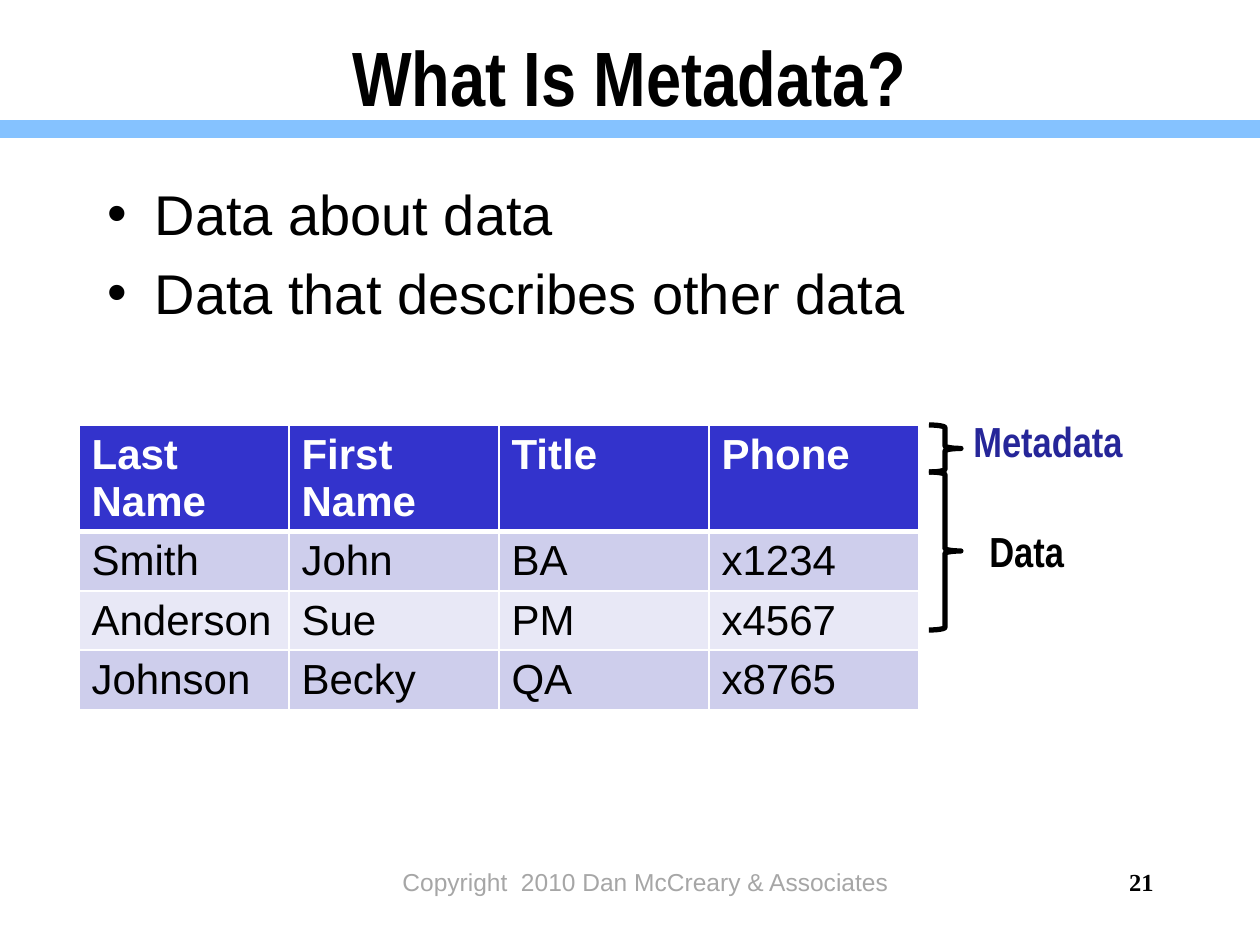
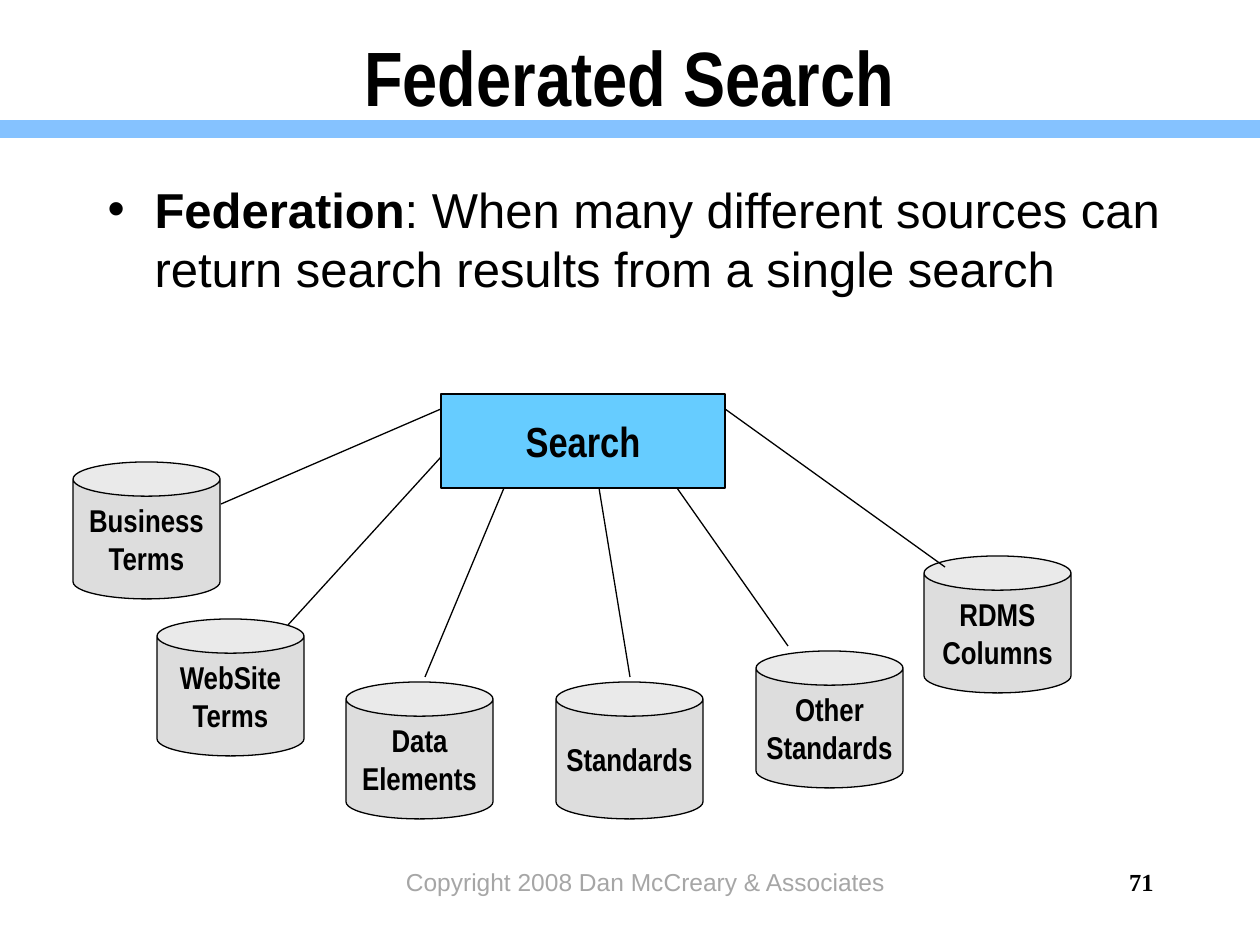
from lxml import etree
from pptx import Presentation
from pptx.dml.color import RGBColor
from pptx.enum.shapes import MSO_CONNECTOR, MSO_SHAPE as SHAPE
from pptx.enum.text import MSO_ANCHOR as ANCHOR, MSO_AUTO_SIZE, PP_ALIGN as ALIGN
from pptx.oxml.ns import qn
from pptx.util import Emu, Pt

PX = 914400 / 126
BLACK, WHITE, BAND, GRAY = "000000", "FFFFFF", "85C2FF", "A6A6A6"
HEADER, STRIPES = "3333CC", ("CECEEC", "E8E8F6")
NARROW, SANS, SERIF = "Arial Narrow", "Arial", "Times New Roman"
rgb = RGBColor.from_string


def write(tf, paragraphs, size, font=NARROW, color=BLACK, align=ALIGN.CENTER):
    """Fill a text frame; each paragraph is a list of (text, bold) runs."""
    for i, runs in enumerate(paragraphs):
        p = tf.add_paragraph() if i else tf.paragraphs[0]
        p.alignment = align
        for text, bold in runs:
            r = p.add_run()
            r.text = text
            r.font.size, r.font.name, r.font.bold = Pt(size), font, bold
            r.font.color.rgb = rgb(color)


def add_shape(s, kind, box, fill=None, width=0.75, lines=(), size=18):
    """Add an outlined preset shape with centred bold lines of text."""
    sp = s.shapes.add_shape(kind, *(Emu(round(v * PX)) for v in box))
    sp.shadow.inherit = False
    if fill:
        sp.fill.solid()
        sp.fill.fore_color.rgb = rgb(fill)
    else:
        sp.fill.background()
    sp.line.color.rgb = rgb(BLACK)
    sp.line.width = Pt(width)
    sp.text_frame.word_wrap = False
    sp.text_frame.vertical_anchor = ANCHOR.MIDDLE
    write(sp.text_frame, [[(text, True)] for text in lines], size)


prs = Presentation()
prs.slide_width, prs.slide_height = Emu(round(1260 * PX)), Emu(round(945 * PX))

# Title, list, band and footer of every slide
contents = [
    ("What Is Metadata?", 32, (95, 173, 1071, 204),
     [[("Data about data", False)], [("Data that describes other data", False)]],
     "Copyright  2010 Dan McCreary & Associates", "21"),
    ("Federated Search", 28, (95, 173, 1102, 179),
     [[("Federation", True),
       (": When many different sources can return search results from a single search", False)]],
     "Copyright 2008 Dan McCreary & Associates", "71"),
]
labels = []  # slide, box, text, size, font, colour, bold, alignment, wrap
links = []  # slide, ends, colour, width
for title, size, body_box, bullets, notice, number in contents:
    s = prs.slides.add_slide(prs.slide_layouts[1])
    heading, body = s.shapes.title, s.placeholders[1]
    for sp, box, anchor in ((heading, (94, 15, 1071, 121), ANCHOR.MIDDLE),
                            (body, body_box, ANCHOR.TOP)):
        sp.left, sp.top, sp.width, sp.height = (Emu(round(v * PX)) for v in box)
        sp.text_frame.auto_size = MSO_AUTO_SIZE.NONE
        sp.text_frame.word_wrap = True
        sp.text_frame.vertical_anchor = anchor
    write(heading.text_frame, [[(title, True)]], 44)
    write(body.text_frame, bullets, size, SANS, align=ALIGN.LEFT)
    for i, p in enumerate(body.text_frame.paragraphs):
        pPr = p._p.get_or_add_pPr()
        pPr.set("marL", str(round(47 * PX)))
        pPr.set("indent", str(round(-47 * PX)))
        p.space_before = Pt(7 if i else 0)

    links.append((s, (0, 129, 1260, 129), BAND, 10))
    labels += [(s, (357, 861, 577, 63), notice, 14, SANS, GRAY, False, ALIGN.CENTER, True),
               (s, (1092, 861, 74, 63), number, 14, SERIF, BLACK, True, ALIGN.RIGHT, True)]

# Metadata: header row against data rows
s = prs.slides[0]
rows = [("Last Name", "First Name", "Title", "Phone"),
        ("Smith", "John", "BA", "x1234"),
        ("Anderson", "Sue", "PM", "x4567"),
        ("Johnson", "Becky", "QA", "x8765")]
box = (79, 425, 840, 282)
table = s.shapes.add_table(4, 4, *(Emu(round(v * PX)) for v in box)).table
table.horz_banding = False
for column in table.columns:
    column.width = Emu(round(210 * PX))
for i, row in enumerate(rows):
    table.rows[i].height = Emu(round((59 if i else 105) * PX))
    for j, text in enumerate(row):
        cell = table.cell(i, j)
        tcPr = cell._tc.get_or_add_tcPr()
        widths = {"lnL": 1, "lnR": 1, "lnT": 3 if i == 1 else 1, "lnB": 1 if i else 3}
        for side, width in widths.items():
            ln = etree.SubElement(tcPr, qn("a:" + side), w=str(Pt(width)))
            paint = etree.SubElement(ln, qn("a:solidFill"))
            etree.SubElement(paint, qn("a:srgbClr"), val=WHITE)
        cell.fill.solid()
        cell.fill.fore_color.rgb = rgb(STRIPES[(i - 1) % 2] if i else HEADER)
        write(cell.text_frame, [[(text, i == 0)]], 24, SANS,
              BLACK if i else WHITE, ALIGN.LEFT)

for text, color, brace, box in (
        ("Metadata", "262699", (929, 425, 32, 47), (961, 409, 177, 63)),
        ("Data", BLACK, (929, 472, 32, 158), (977, 519, 101, 63))):
    add_shape(s, SHAPE.RIGHT_BRACE, brace, width=3)
    labels.append((s, box, text, 24, NARROW, color, True, ALIGN.LEFT, False))

# Federated search: one query box linked to each source
s = prs.slides[1]
add_shape(s, SHAPE.RECTANGLE, (441, 394, 284, 94), "66CCFF", lines=["Search"], size=24)
sources = [
    (["Business", "Terms"], 73, 462, (441, 409, 221, 504)),
    (["WebSite", "Terms"], 157, 619, (441, 457, 288, 625)),
    (["Data", "Elements"], 346, 682, (504, 488, 425, 677)),
    (["Standards"], 556, 682, (599, 488, 630, 677)),
    (["Other", "Standards"], 756, 651, (677, 488, 788, 646)),
    (["RDMS", "Columns"], 924, 556, (725, 409, 945, 567)),
]
for lines, x, y, ends in sources:
    add_shape(s, SHAPE.CAN, (x, y, 147, 137), "DDDDDD", lines=lines)
    links.append((s, ends, BLACK, 0.75))

# Text labels and lines of both slides
for s, box, text, size, font, color, bold, align, wrap in labels:
    tf = s.shapes.add_textbox(*(Emu(round(v * PX)) for v in box)).text_frame
    tf.word_wrap = wrap
    write(tf, [[(text, bold)]], size, font, color, align)

for s, ends, color, width in links:
    line = s.shapes.add_connector(MSO_CONNECTOR.STRAIGHT, *(Emu(round(v * PX)) for v in ends))
    line.line.color.rgb = rgb(color)
    line.line.width = Pt(width)
    etree.SubElement(line._element.spPr, qn("a:effectLst"))

prs.save("out.pptx")
